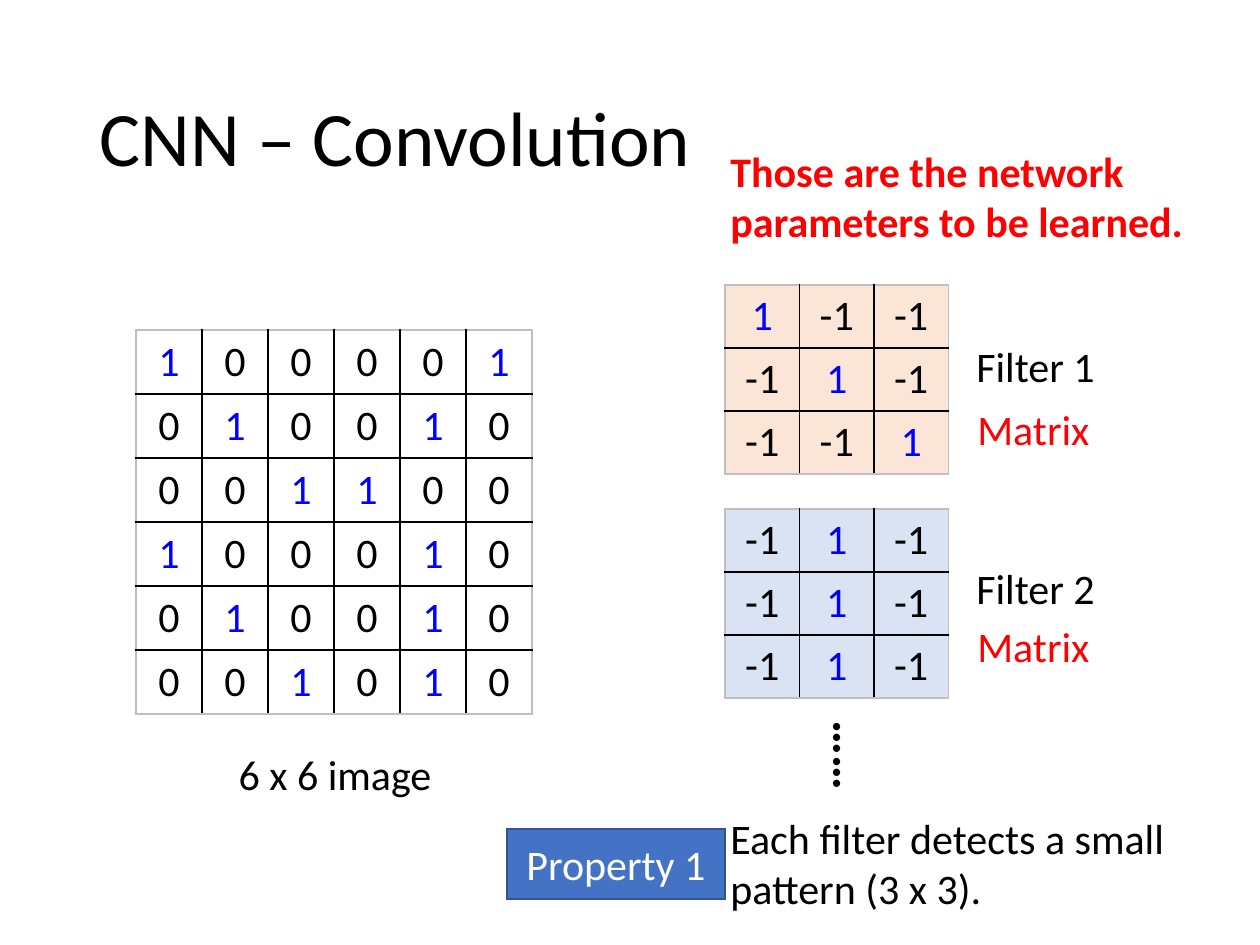
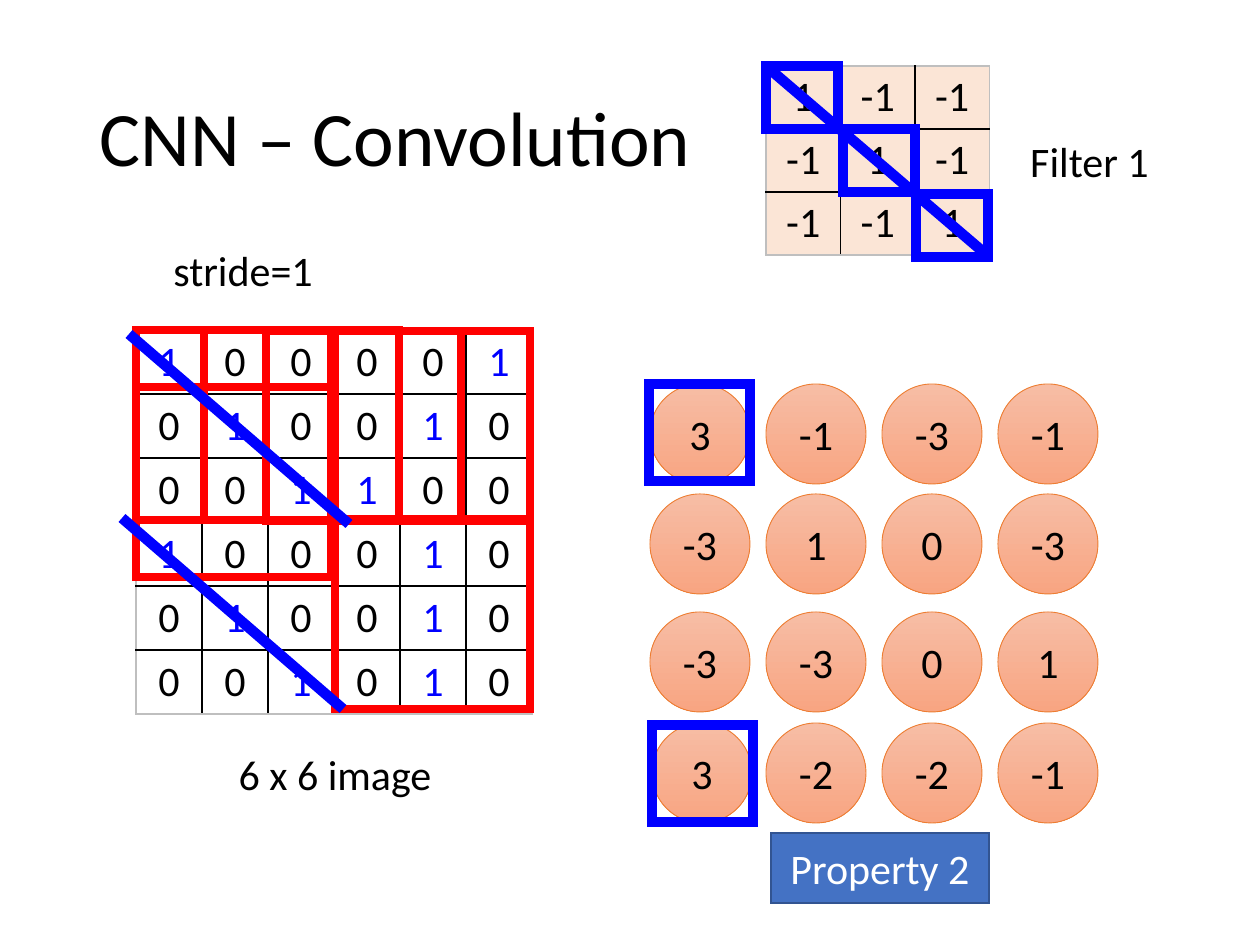
import lxml.etree
import pptx
import pptx.dml.color
import pptx.enum.shapes
import pptx.enum.text
import pptx.oxml.ns
import pptx.util

EMU_PER_PX = 914400 / 126
FONT = "Calibri"
BLACK, WHITE, RED, BLUE = "000000", "FFFFFF", "FF0000", "0000FF"
PEACH, PALE_BLUE, OUTER_GREY = "FBE5D6", "DAE3F3", "BFBFBF"
BOX_FILL, BOX_LINE = "4472C4", "325491"
CIRCLE_TOP, CIRCLE_BOTTOM, CIRCLE_LINE = "F7BDA5", "F8A582", "ED7D31"
ALIGN = pptx.enum.text.PP_ALIGN
ANCHOR = pptx.enum.text.MSO_ANCHOR
SHAPE = pptx.enum.shapes.MSO_SHAPE

IMAGE_ROWS = ["1 0 0 0 0 1", "0 1 0 0 1 0", "0 0 1 1 0 0",
              "1 0 0 0 1 0", "0 1 0 0 1 0", "0 0 1 0 1 0"]
FILTER_1_ROWS = ["1 -1 -1", "-1 1 -1", "-1 -1 1"]
FILTER_2_ROWS = ["-1 1 -1"] * 3
FEATURE_MAP = [(384, 650, "3 -1 -3 -1"), (494, 650, "-3 1 0 -3"),
               (612, 650, "-3 -3 0 1"), (723, 652, "3 -2 -2 -1")]


def px(*lengths):
    return [pptx.util.Emu(round(length * EMU_PER_PX)) for length in lengths]


def color(hex_string):
    return pptx.dml.color.RGBColor.from_string(hex_string)


def sub_element(parent, tag, **attributes):
    return lxml.etree.SubElement(parent, pptx.oxml.ns.qn(tag), **attributes)


def write(frame, text, size=24, ink=BLACK, bold=False, align=ALIGN.LEFT,
          anchor=ANCHOR.TOP, spacing=None, wrap=True):
    frame.word_wrap = wrap
    frame.vertical_anchor = anchor
    paragraph = frame.paragraphs[0]
    paragraph.alignment = align
    paragraph.line_spacing = spacing
    run = paragraph.add_run()
    run.text = text
    run.font.name = FONT
    run.font.size = pptx.util.Pt(size)
    run.font.bold = bold
    run.font.color.rgb = color(ink)


def add_text(slide, box, text, rotation=0, **text_format):
    shape = slide.shapes.add_textbox(*px(*box))
    shape.rotation = rotation
    write(shape.text_frame, text, **text_format)


def add_outlined(slide, kind, box, line, width):
    shape = slide.shapes.add_shape(kind, *px(*box))
    shape.shadow.inherit = False
    shape.fill.background()
    shape.line.color.rgb = color(line)
    shape.line.width = pptx.util.Pt(width)
    if kind == SHAPE.RECTANGLE:
        sub_element(shape.line._get_or_add_ln(), "a:miter", lim="800000")
    return shape


def add_property_box(slide, left, top, text):
    shape = add_outlined(slide, SHAPE.RECTANGLE, (left, top, 218, 70), BOX_LINE, 1)
    shape.fill.solid()
    shape.fill.fore_color.rgb = color(BOX_FILL)
    write(shape.text_frame, text, ink=WHITE, align=ALIGN.CENTER, anchor=ANCHOR.MIDDLE)


def add_circle(slide, left, top, value):
    shape = add_outlined(slide, SHAPE.OVAL, (left, top, 100, 100), CIRCLE_LINE, 0.5)
    shape.fill.gradient()
    shape.fill.gradient_angle = 270
    for stop, shade in zip(shape.fill.gradient_stops, (CIRCLE_TOP, CIRCLE_BOTTOM)):
        stop.color.rgb = color(shade)
    write(shape.text_frame, value, align=ALIGN.CENTER, anchor=ANCHOR.MIDDLE)


def add_diagonal(slide, *ends):
    connector = slide.shapes.add_connector(
        pptx.enum.shapes.MSO_CONNECTOR.STRAIGHT, *px(*ends))
    connector.line.color.rgb = color(BLUE)
    connector.line.width = pptx.util.Pt(6)
    sub_element(connector._element.spPr, "a:effectLst")


def set_borders(cell, outer_edges):
    properties = cell._tc.get_or_add_tcPr()
    for edge, is_outer in outer_edges.items():
        line = sub_element(properties, f"a:ln{edge}", w="12700")
        solid = sub_element(line, "a:solidFill")
        sub_element(solid, "a:srgbClr", val=OUTER_GREY if is_outer else BLACK)


def add_matrix(slide, left, top, cell_size, rows, fill=None, one_ink=BLUE):
    grid = [row.split() for row in rows]
    count = len(grid)
    width, height = cell_size
    table = slide.shapes.add_table(
        count, count, *px(left, top, width * count, height * count)).table
    table.first_row = table.horz_banding = False
    for index in range(count):
        table.columns[index].width, table.rows[index].height = px(*cell_size)
    last = count - 1
    for row, values in enumerate(grid):
        for column, value in enumerate(values):
            cell = table.cell(row, column)
            cell.margin_top, cell.margin_bottom = px(5, 5)
            cell.vertical_anchor = ANCHOR.MIDDLE
            set_borders(cell, {"L": column == 0, "R": column == last,
                               "T": row == 0, "B": row == last})
            if fill:
                cell.fill.solid()
                cell.fill.fore_color.rgb = color(fill)
            else:
                cell.fill.background()
            write(cell.text_frame, value, align=ALIGN.CENTER, anchor=None,
                  ink=one_ink if value == "1" else BLACK)


def add_filter(slide, left, top, rows, fill, one_ink=BLUE):
    add_matrix(slide, left, top, (74.5, 63), rows, fill, one_ink)


def add_filter_label(slide, left, top, text):
    add_text(slide, (left, top, 199, 63), text, align=ALIGN.CENTER)


def add_convolution_slide(presentation):
    slide = presentation.slides.add_slide(presentation.slide_layouts[6])
    add_text(slide, (87, 50, 1086, 183), "CNN – Convolution", size=44,
             anchor=ANCHOR.MIDDLE, spacing=0.9)
    add_matrix(slide, 136, 330, (66, 64), IMAGE_ROWS)
    add_text(slide, (173, 742, 324, 63), "6 x 6 image", align=ALIGN.CENTER)
    return slide


def build_filters_slide(presentation):
    slide = add_convolution_slide(presentation)
    add_filter(slide, 725, 285, FILTER_1_ROWS, PEACH)
    add_filter(slide, 725, 509, FILTER_2_ROWS, PALE_BLUE)
    add_filter_label(slide, 936, 334, "Filter 1")
    add_filter_label(slide, 936, 556, "Filter 2")
    for top in (397, 614):
        add_text(slide, (965, top, 141, 63), "Matrix", ink=RED)
    add_text(slide, (804, 721, 97, 72), "……", rotation=90, size=28, bold=True)
    add_text(slide, (718, 139, 490, 115),
             "Those are the network parameters to be learned.", ink=RED, bold=True)
    add_text(slide, (718, 806, 490, 115), "Each filter detects a small pattern (3 x 3).")
    add_property_box(slide, 507, 829, "Property 1")


def build_stride_slide(presentation):
    slide = add_convolution_slide(presentation)
    add_filter(slide, 766, 66, FILTER_1_ROWS, PEACH, one_ink=BLACK)
    add_filter_label(slide, 990, 129, "Filter 1")
    add_text(slide, (161, 238, 166, 63), "stride=1", wrap=False)
    for top, first_left, values in FEATURE_MAP:
        for column, value in enumerate(values.split()):
            left = 650 + 116 * column if column else first_left
            add_circle(slide, left, top, value)
    for left, top in [(136, 330), (204, 330), (266, 331), (335, 331),
                      (136, 387), (335, 519)]:
        add_outlined(slide, SHAPE.RECTANGLE, (left, top, 195, 190), RED, 4.5)
    for left, top in [(766, 66), (843, 129), (916, 194)]:
        add_outlined(slide, SHAPE.RECTANGLE, (left, top, 72, 63), BLUE, 6)
    for left, top in [(649, 384), (652, 725)]:
        add_outlined(slide, SHAPE.RECTANGLE, (left, top, 101, 97), BLUE, 6)
    add_diagonal(slide, 766, 66, 988, 256)
    add_diagonal(slide, 129, 334, 349, 524)
    add_diagonal(slide, 122, 518, 343, 709)
    add_property_box(slide, 771, 833, "Property 2")


def main():
    presentation = pptx.Presentation()
    presentation.slide_width, presentation.slide_height = px(1260, 945)
    build_filters_slide(presentation)
    build_stride_slide(presentation)
    presentation.save("out.pptx")


if __name__ == "__main__":
    main()
